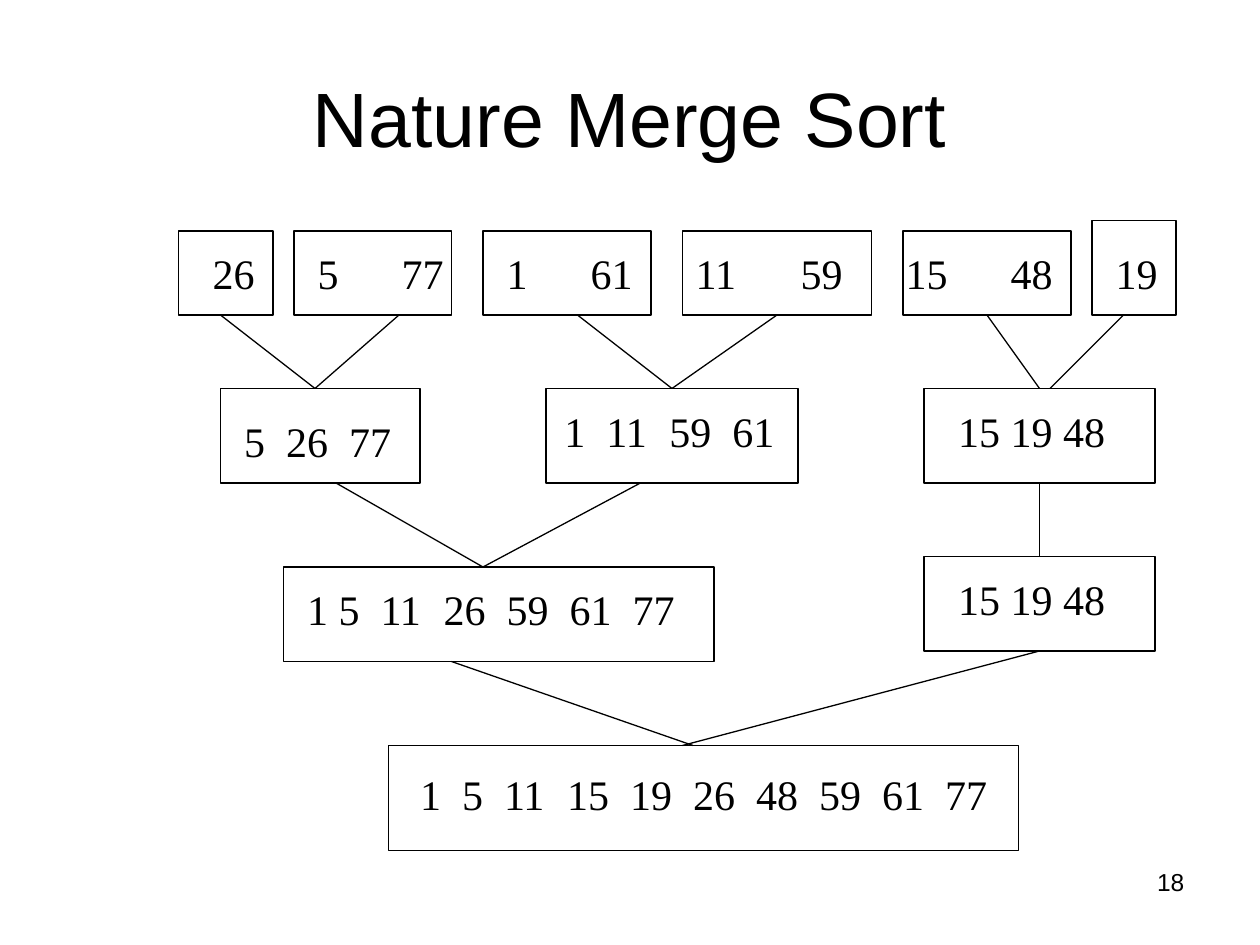
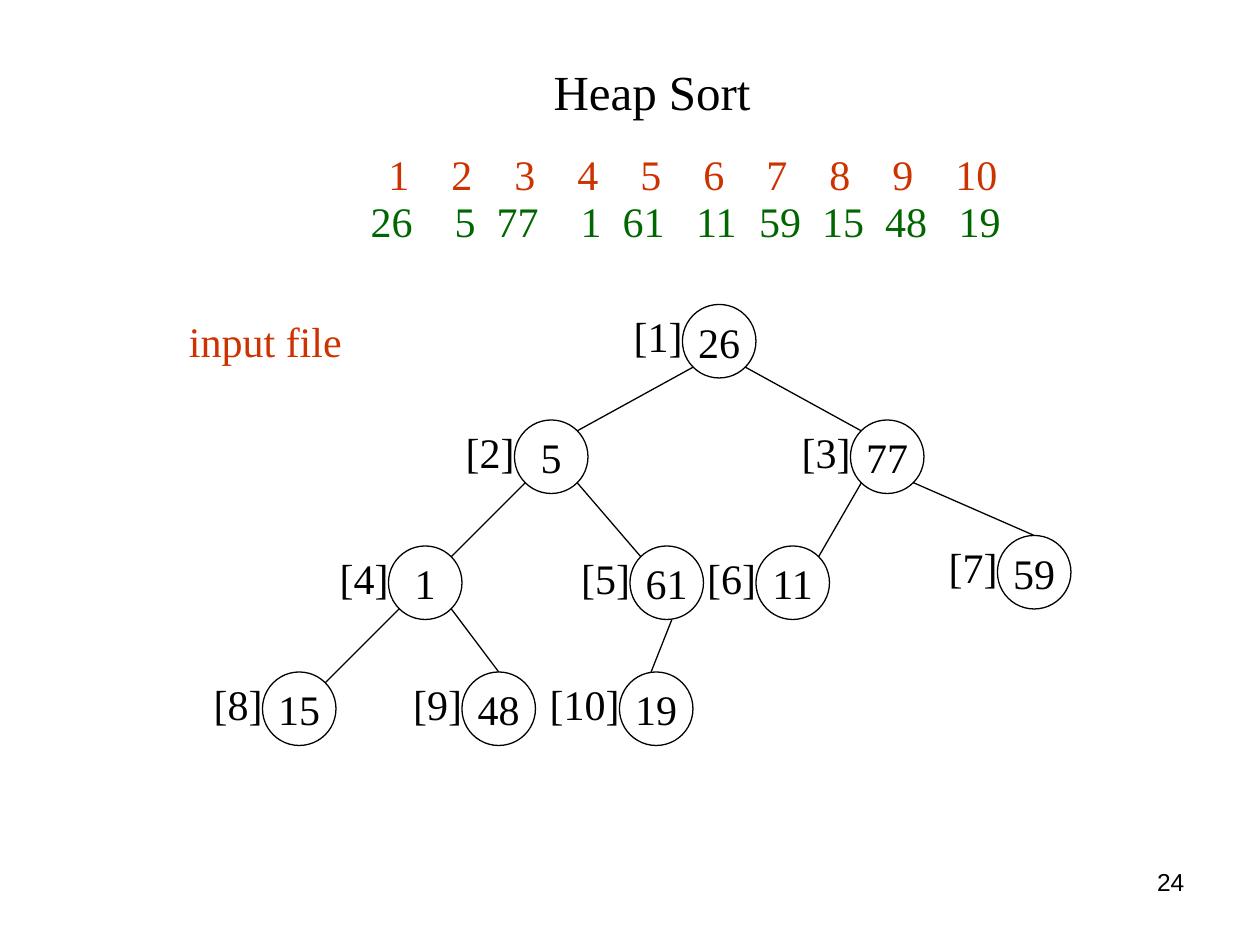
"""Build two slides on sorting: a natural merge sort and a heap sort input tree."""
from dataclasses import dataclass
from enum import Enum
from itertools import cycle

import pptx
import pptx.util
from lxml import etree
from pptx.dml.color import RGBColor
from pptx.enum.shapes import MSO_CONNECTOR, MSO_SHAPE
from pptx.enum.text import MSO_ANCHOR, PP_ALIGN
from pptx.oxml.ns import qn
from pptx.presentation import Presentation
from pptx.shapes.autoshape import Shape
from pptx.slide import Slide

BLACK = RGBColor(0x00, 0x00, 0x00)
RED = RGBColor(0xCC, 0x33, 0x00)
GREEN = RGBColor(0x00, 0x66, 0x00)
SANS = "Arial"
SERIF = "Times New Roman"

SLIDE_WIDTH = pptx.util.Inches(10)
SLIDE_HEIGHT = pptx.util.Inches(7.5)
COLUMNS = 120
UNIT = SLIDE_WIDTH // COLUMNS
DIGIT_WIDTH = 2
SPACE_WIDTH = 1
NODE_SIZE = 7
LABEL_WIDTH = 10


class Port(Enum):
    """Points on a tree node, as shares of its width and height."""

    TOP = (0.5, 0)
    TOP_LEFT = (0.15, 0.15)
    TOP_RIGHT = (0.85, 0.15)
    BOTTOM_LEFT = (0.15, 0.85)
    BOTTOM_RIGHT = (0.85, 0.85)
    NEAR_TOP = (0.43, 0)
    NEAR_BOTTOM = (0.57, 1)


@dataclass(frozen=True)
class Area:
    """A rectangle in grid units."""

    left: float
    top: float
    width: float
    height: float


@dataclass(frozen=True)
class TextStyle:
    """Font and placement of a text."""

    size: int = 24
    font: str = SERIF
    color: RGBColor = BLACK
    align: PP_ALIGN = PP_ALIGN.LEFT
    anchor: MSO_ANCHOR = MSO_ANCHOR.TOP


@dataclass(frozen=True)
class NumberRow:
    """Numbers on one line, parted by gaps that are used in turn."""

    left: float
    top: float
    numbers: tuple[str, ...]
    gaps: tuple[int, ...] = (2,)
    color: RGBColor = BLACK


@dataclass(frozen=True)
class Line:
    """A straight line between two grid points."""

    x1: float
    y1: float
    x2: float
    y2: float


@dataclass(frozen=True)
class Node:
    """A heap node and the ports of the line from its parent."""

    value: int
    left: float
    top: float
    parent_port: Port = Port.BOTTOM_LEFT
    own_port: Port = Port.TOP_RIGHT

    def point(self, port: Port) -> tuple[float, float]:
        """Return the grid point of a port."""
        across, down = port.value
        return self.left + across * NODE_SIZE, self.top + down * NODE_SIZE


BODY = TextStyle()
CENTERED = TextStyle(align=PP_ALIGN.CENTER, anchor=MSO_ANCHOR.MIDDLE)
LABEL = TextStyle(align=PP_ALIGN.RIGHT)
NOTE = TextStyle(color=RED)
PAGE_NUMBER = TextStyle(size=14, font=SANS, align=PP_ALIGN.RIGHT)
MERGE_TITLE = TextStyle(44, SANS, BLACK, PP_ALIGN.CENTER, MSO_ANCHOR.MIDDLE)
HEAP_TITLE = TextStyle(size=28, align=PP_ALIGN.CENTER)

RUN_BOXES = (
    Area(17, 22, 9, 8), Area(28, 22, 15, 8), Area(46, 22, 16, 8),
    Area(65, 22, 18, 8), Area(86, 22, 16, 8), Area(104, 21, 8, 9),
    Area(21, 37, 19, 9), Area(52, 37, 24, 9), Area(88, 37, 22, 9),
    Area(27, 54, 41, 9), Area(88, 53, 22, 9), Area(37, 71, 60, 10),
)
RUN_NUMBERS = (
    NumberRow(20.25, 23, ("26", "5", "77", "1", "61", "11", "59", "15", "48", "19"), (6,)),
    NumberRow(23.25, 39, ("5", "26", "77")),
    NumberRow(53.75, 38, ("1", "11", "59", "61")),
    NumberRow(91.25, 38, ("15 19 48",)),
    NumberRow(29.25, 55, ("1 5", "11", "26", "59", "61", "77")),
    NumberRow(91.25, 54, ("15 19 48",)),
    NumberRow(40, 72.6, ("1", "5", "11", "15", "19", "26", "48", "59", "61", "77")),
)
MERGE_LINES = (
    Line(21, 30, 30, 37), Line(30, 37, 38, 30),
    Line(55, 30, 64, 37), Line(64, 37, 74, 30),
    Line(94, 30, 99, 37), Line(100, 37, 107, 30),
    Line(32, 46, 46, 54), Line(46, 54, 61, 46), Line(99, 46, 99, 53),
    Line(43, 63, 66, 71), Line(65, 71, 99, 62),
)
HEAP_NODES = (
    Node(26, 65, 29),
    Node(5, 49, 40),
    Node(77, 81, 40, Port.BOTTOM_RIGHT, Port.TOP_LEFT),
    Node(1, 37, 52),
    Node(61, 60, 52, Port.BOTTOM_RIGHT, Port.TOP_LEFT),
    Node(11, 72, 52),
    Node(59, 95, 51, Port.BOTTOM_RIGHT, Port.TOP),
    Node(15, 25, 64),
    Node(48, 44, 64, Port.BOTTOM_RIGHT, Port.TOP),
    Node(19, 59, 64, Port.NEAR_BOTTOM, Port.NEAR_TOP),
)
INDEX_ROW = NumberRow(37, 13.6, tuple(str(index + 1) for index in range(len(HEAP_NODES))), (4,), RED)
INPUT_ROW = NumberRow(
    35.3, 18, tuple(str(node.value) for node in HEAP_NODES), (4, 2, 4, 2, 3, 2, 2, 2, 3), GREEN
)


def grid(value: float) -> pptx.util.Emu:
    """Turn grid units into a length."""
    return pptx.util.Emu(round(value * UNIT))


def place(area: Area) -> tuple[pptx.util.Emu, ...]:
    """Turn an area into left, top, width and height."""
    return grid(area.left), grid(area.top), grid(area.width), grid(area.height)


def write_text(shape: Shape, text: str, style: TextStyle) -> None:
    """Write one paragraph into a shape without side margins."""
    frame = shape.text_frame
    frame.margin_left = frame.margin_right = 0
    frame.vertical_anchor = style.anchor
    frame.word_wrap = True
    frame.text = text
    paragraph = frame.paragraphs[0]
    paragraph.alignment = style.align
    for run in paragraph.runs:
        run.font.size = pptx.util.Pt(style.size)
        run.font.name = style.font
        run.font.color.rgb = style.color


def add_text(slide: Slide, area: Area, text: str, style: TextStyle) -> Shape:
    """Add a text box."""
    box = slide.shapes.add_textbox(*place(area))
    write_text(box, text, style)
    return box


def add_outline(slide: Slide, kind: MSO_SHAPE, area: Area) -> Shape:
    """Add an unfilled shape with a thin black line."""
    shape = slide.shapes.add_shape(kind, *place(area))
    shape.shadow.inherit = False
    shape.fill.background()
    shape.line.color.rgb = BLACK
    shape.line.width = pptx.util.Pt(0.75)
    return shape


def add_line(slide: Slide, line: Line) -> None:
    """Add a thin black line."""
    ends = (grid(value) for value in (line.x1, line.y1, line.x2, line.y2))
    connector = slide.shapes.add_connector(MSO_CONNECTOR.STRAIGHT, *ends)
    connector.line.color.rgb = BLACK
    connector.line.width = pptx.util.Pt(0.75)
    etree.SubElement(connector._element.spPr, qn("a:effectLst"))


def text_width(text: str) -> int:
    """Return the width of digits and spaces in grid units."""
    return sum(SPACE_WIDTH if letter == " " else DIGIT_WIDTH for letter in text)


def add_number_row(slide: Slide, row: NumberRow) -> None:
    """Add numbers aligned on tab stops."""
    starts = [0]
    for number, gap in zip(row.numbers[:-1], cycle(row.gaps)):
        starts.append(starts[-1] + text_width(number) + gap)
    width = starts[-1] + text_width(row.numbers[-1]) + DIGIT_WIDTH
    area = Area(row.left, row.top, width, 6)
    box = add_text(slide, area, "\t".join(row.numbers), TextStyle(color=row.color))
    properties = box.text_frame.paragraphs[0]._p.get_or_add_pPr()
    tabs = etree.SubElement(properties, qn("a:tabLst"))
    for start in starts[1:]:
        etree.SubElement(tabs, qn("a:tab"), pos=str(grid(start)), algn="l")


def add_slide(presentation: Presentation, title: str, title_area: Area, style: TextStyle, number: int) -> Slide:
    """Add a blank slide with its title and page number."""
    slide = presentation.slides.add_slide(presentation.slide_layouts[6])
    add_text(slide, title_area, title, style)
    add_text(slide, Area(86, 82, 26.8, 6.2), str(number), PAGE_NUMBER)
    return slide


def add_merge_slide(presentation: Presentation) -> None:
    """Add the merge sort passes."""
    slide = add_slide(presentation, "Nature Merge Sort", Area(6, 3.6, 108, 15), MERGE_TITLE, 18)
    for area in RUN_BOXES:
        add_outline(slide, MSO_SHAPE.RECTANGLE, area)
    for row in RUN_NUMBERS:
        add_number_row(slide, row)
    for line in MERGE_LINES:
        add_line(slide, line)


def add_heap_slide(presentation: Presentation) -> None:
    """Add the input rows and the heap tree."""
    slide = add_slide(presentation, "Heap Sort", Area(15.6, 5.3, 93, 6.8), HEAP_TITLE, 24)
    add_number_row(slide, INDEX_ROW)
    add_number_row(slide, INPUT_ROW)
    add_text(slide, Area(18, 29.5, 17, 6), "input file", NOTE)
    for index, node in enumerate(HEAP_NODES, start=1):
        circle = add_outline(slide, MSO_SHAPE.OVAL, Area(node.left, node.top, NODE_SIZE, NODE_SIZE))
        write_text(circle, str(node.value), CENTERED)
        label_area = Area(node.left - LABEL_WIDTH, node.top, LABEL_WIDTH, 6)
        add_text(slide, label_area, f"[{index}]", LABEL)
        if index > 1:
            parent = HEAP_NODES[index // 2 - 1]
            add_line(slide, Line(*parent.point(node.parent_port), *node.point(node.own_port)))


def main() -> None:
    """Build and save the presentation."""
    presentation = pptx.Presentation()
    presentation.slide_width = SLIDE_WIDTH
    presentation.slide_height = SLIDE_HEIGHT
    add_merge_slide(presentation)
    add_heap_slide(presentation)
    presentation.save("out.pptx")


if __name__ == "__main__":
    main()
